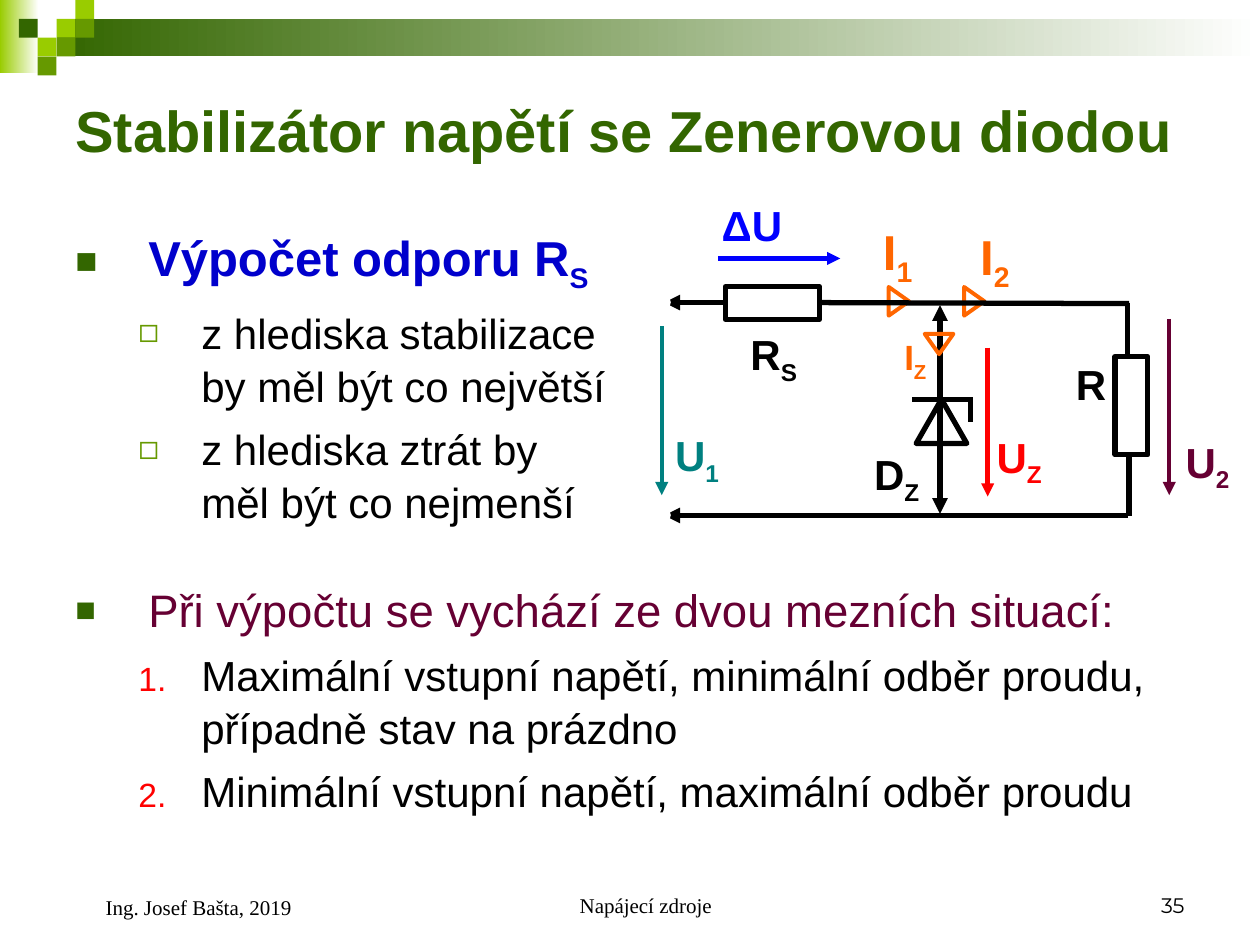
"""Build a slide about a Zener diode voltage stabilizer."""
from dataclasses import dataclass

from lxml.etree import SubElement
from pptx import Presentation
from pptx.dml.color import RGBColor
from pptx.enum.shapes import MSO_CONNECTOR, MSO_SHAPE
from pptx.enum.text import MSO_ANCHOR, PP_ALIGN
from pptx.oxml.ns import qn
from pptx.util import Cm, Pt


@dataclass(frozen=True)
class Theme:
    """Colours, fonts and sizes of the slide."""
    white: str = "FFFFFF"
    black: str = "000000"
    lime: str = "99CC00"
    leaf: str = "669900"
    forest: str = "336600"
    navy: str = "0000CC"
    blue: str = "0000FF"
    wine: str = "660033"
    teal: str = "008080"
    red: str = "FF0000"
    orange: str = "FF6600"
    sans: str = "Arial"
    serif: str = "Times New Roman"
    number_font: str = "Montserrat"
    title: float = 33
    heading: float = 28
    lead: float = 26
    body: float = 24
    small_label: float = 20
    footer: float = 12
    wire: float = 3
    arrow: float = 2.5
    marker: float = 2.25
    spacing: float = 1.05


THEME = Theme()


def rgb(color):
    """Turn a hex string into a colour."""
    return RGBColor.from_string(color)


def add_text_box(page, left, top, width, height, anchor=MSO_ANCHOR.TOP):
    """Add a wrapping text box and return its text frame."""
    box = page.shapes.add_textbox(Cm(left), Cm(top), Cm(width), Cm(height))
    frame = box.text_frame
    frame.word_wrap = True
    frame.vertical_anchor = anchor
    return frame


def write(para, text, size, color, font=THEME.sans, bold=False, subscript=""):
    """Write a paragraph, with an optional subscript at its end."""
    para.text = text
    if subscript:
        span = para.add_run()
        span.text = subscript
        span._r.get_or_add_rPr().set("baseline", "-25000")
    para.font.size = Pt(size)
    para.font.name = font
    para.font.bold = bold
    para.font.color.rgb = rgb(color)


def set_indent(para, margin, first=0):
    """Set the left margin and first-line indent in centimetres."""
    properties = para._p.get_or_add_pPr()
    properties.set("marL", str(Cm(margin)))
    properties.set("indent", str(Cm(first)))


def set_bullet(para, color, percent, symbol=None):
    """Give a paragraph a symbol bullet, or a number if there is no symbol."""
    properties = para._p.get_or_add_pPr()
    bullet_color = SubElement(properties, qn("a:buClr"))
    SubElement(bullet_color, qn("a:srgbClr")).set("val", color)
    SubElement(properties, qn("a:buSzPct")).set("val", str(percent * 1000))
    SubElement(properties, qn("a:buFont")).set("typeface", THEME.sans)
    if symbol:
        SubElement(properties, qn("a:buChar")).set("char", symbol)
    else:
        SubElement(properties, qn("a:buAutoNum")).set("type", "arabicPeriod")


def add_shape(page, kind, left, top, width, height, fill=None, line=None, weight=1, rotation=0):
    """Add a preset shape with an optional plain fill and outline."""
    shape = page.shapes.add_shape(kind, Cm(left), Cm(top), Cm(width), Cm(height))
    shape.shadow.inherit = False
    shape.rotation = rotation
    if fill:
        shape.fill.solid()
        shape.fill.fore_color.rgb = rgb(fill)
    else:
        shape.fill.background()
    if line:
        shape.line.color.rgb = rgb(line)
        shape.line.width = Pt(weight)
    else:
        shape.line.fill.background()
    return shape


def add_line(page, start, end, color=THEME.black, weight=THEME.wire, arrows=()):
    """Add a line with triangles at the named ends."""
    line = page.shapes.add_connector(MSO_CONNECTOR.STRAIGHT, *map(Cm, start + end))
    line.line.color.rgb = rgb(color)
    line.line.width = Pt(weight)
    SubElement(line._element.spPr, qn("a:effectLst"))
    for arrow in arrows:
        SubElement(line.get_or_add_ln(), qn(f"a:{arrow}End")).set("type", "triangle")


def add_header(page):
    """Draw the gradient bands and the staggered squares."""
    for color, *place in ((THEME.lime, 0, 0, 0.78, 1.47), (THEME.forest, 1.14, 0.38, 24.26, 0.76)):
        band = add_shape(page, MSO_SHAPE.RECTANGLE, *place)
        band.fill.gradient()
        band.fill.gradient_angle = 180
        for stop, tint, position in zip(band.fill.gradient_stops, (THEME.white, color), (0, 1)):
            stop.color.rgb = rgb(tint)
            stop.position = position
    side = 0.38
    squares = {THEME.lime: ((3, 1), (4, 0), (2, 2)), THEME.leaf: ((4, 1), (3, 2), (2, 3)),
               THEME.forest: ((1, 1),)}
    for color, cells in squares.items():
        for column, row in cells:
            add_shape(page, MSO_SHAPE.RECTANGLE, column * side, row * side, side, side, color)


def add_body(page):
    """Write the bulleted and numbered text."""
    heading = ((1.47, -1.47), (THEME.forest, 75, "■"))
    point = ((2.54, -1.27), (THEME.leaf, 80, "◻"))
    step = ((2.54, -1.27), (THEME.red, 80))
    rows = (
        (heading, 0, "Výpočet odporu R", THEME.heading, THEME.navy, True, "S"),
        (point, 6, "z hlediska stabilizace \vby měl být co největší", THEME.body, THEME.black),
        (point, 6, "z hlediska ztrát by \vměl být co nejmenší", THEME.body, THEME.black),
        (heading, 30, "Při výpočtu se vychází ze dvou mezních situací:", THEME.lead, THEME.wine),
        (step, 6, "Maximální vstupní napětí, minimální odběr proudu, případně stav na prázdno",
         THEME.body, THEME.black),
        (step, 6, "Minimální vstupní napětí, maximální odběr proudu", THEME.body, THEME.black),
    )
    frame = add_text_box(page, 1.27, 4.39, 22.86, 12.4)
    for index, ((indent, bullet), before, text, size, color, *rest) in enumerate(rows):
        para = frame.add_paragraph() if index else frame.paragraphs[0]
        para.level = 0 if bullet[0] == THEME.forest else 1
        set_indent(para, *indent)
        set_bullet(para, *bullet)
        para.line_spacing = THEME.spacing
        para.space_before = Pt(before)
        bold, subscript = rest or (False, "")
        write(para, text, size, color, bold=bold, subscript=subscript)


def add_circuit(page):
    """Draw the stabilizer circuit with its arrows."""
    for color, start, end in ((THEME.teal, (13.34, 6.58), (13.34, 9.98)),
                              (THEME.red, (19.91, 7.01), (19.91, 10.01)),
                              (THEME.blue, (14.48, 5.21), (16.94, 5.21)),
                              (THEME.wine, (23.57, 6.43), (23.57, 9.98))):
        add_line(page, start, end, color, THEME.arrow, ("tail",))
    add_line(page, (18.95, 6.15), (18.95, 10.36), arrows=("head", "tail"))
    triangle, rectangle = MSO_SHAPE.ISOSCELES_TRIANGLE, MSO_SHAPE.RECTANGLE
    for kind, *place in ((triangle, 18.47, 8.05, 1.02, 0.89), (rectangle, 22.48, 7.19, 0.66, 1.98),
                         (rectangle, 14.62, 5.78, 1.9, 0.66)):
        add_shape(page, kind, *place, line=THEME.black, weight=THEME.wire)
    for left, top, rotation in ((17.83, 5.87, 90), (19.35, 5.87, 90), (18.64, 6.73, 180)):
        add_shape(page, triangle, left, top, 0.58, 0.41, line=THEME.orange,
                  weight=THEME.marker, rotation=rotation)
    for start, end in (((18.39, 8.05), (19.61, 8.05)), ((19.56, 8.03), (19.56, 8.51)),
                       ((22.73, 6.1), (22.73, 7.16)), ((22.76, 9.22), (22.76, 10.41)),
                       ((14.1, 10.39), (22.73, 10.39)), ((16.56, 6.1), (22.76, 6.12))):
        add_line(page, start, end)
    for level in (6.1, 10.39):
        add_line(page, (13.39, level), (14.61, level), arrows=("head",))
        add_shape(page, MSO_SHAPE.OVAL, 13.26, level - 0.13, 0.25, 0.25, THEME.white, THEME.white, 0.75)


def add_labels(page):
    """Name the voltages, currents and parts of the circuit."""
    for text, subscript, color, size, *place in (
            ("U", "2", THEME.wine, THEME.body, 23.65, 8.61, 1.75, 1.42),
            ("U", "1", THEME.teal, THEME.body, 13.36, 8.48, 2.21, 1.42),
            ("U", "Z", THEME.red, THEME.body, 19.84, 8.51, 1.88, 1.42),
            ("D", "Z", THEME.black, THEME.body, 17.37, 8.86, 1.7, 1.42),
            ("R", "S", THEME.black, THEME.body, 14.88, 6.45, 1.7, 1.42),
            ("R", "", THEME.black, THEME.body, 21.44, 7.06, 1.02, 1.27),
            ("ΔU", "", THEME.blue, THEME.body, 14.3, 3.84, 2.9, 1.27),
            ("I", "1", THEME.orange, THEME.heading, 17.55, 4.27, 1.83, 1.6),
            ("I", "2", THEME.orange, THEME.heading, 19.51, 4.37, 1.19, 1.6),
            ("I", "Z", THEME.orange, THEME.small_label, 17.98, 6.6, 1.09, 1.22)):
        para = add_text_box(page, *place).paragraphs[0]
        para.line_spacing = THEME.spacing
        write(para, text, size, color, bold=True, subscript=subscript)


def add_footer(page):
    """Write the author, the topic and the page number."""
    for text, font, align, margin, *place in (
            ("Ing. Josef Bašta, 2019", THEME.serif, PP_ALIGN.LEFT, 0.61, 1.27, 17.35, 5.92, 1.32),
            ("Napájecí zdroje", THEME.serif, PP_ALIGN.CENTER, 0.61, 8.69, 17.35, 8.05, 1.27),
            ("35", THEME.number_font, PP_ALIGN.RIGHT, 0, 18.21, 17.35, 5.92, 1.27)):
        para = add_text_box(page, *place, MSO_ANCHOR.BOTTOM).paragraphs[0]
        set_indent(para, margin)
        para.alignment = align
        write(para, text, THEME.footer, THEME.black, font)


def main():
    """Build and save the deck."""
    deck = Presentation()
    deck.slide_width, deck.slide_height = Cm(25.4), Cm(19.05)
    page = deck.slides.add_slide(deck.slide_layouts[6])
    add_header(page)
    title = add_text_box(page, 1.27, 1.27, 22.86, 2.62, MSO_ANCHOR.MIDDLE).paragraphs[0]
    title.line_spacing = THEME.spacing
    write(title, "Stabilizátor napětí se Zenerovou diodou", THEME.title, THEME.forest, bold=True)
    add_body(page)
    add_circuit(page)
    add_labels(page)
    add_footer(page)
    deck.save("out.pptx")


if __name__ == "__main__":
    main()
